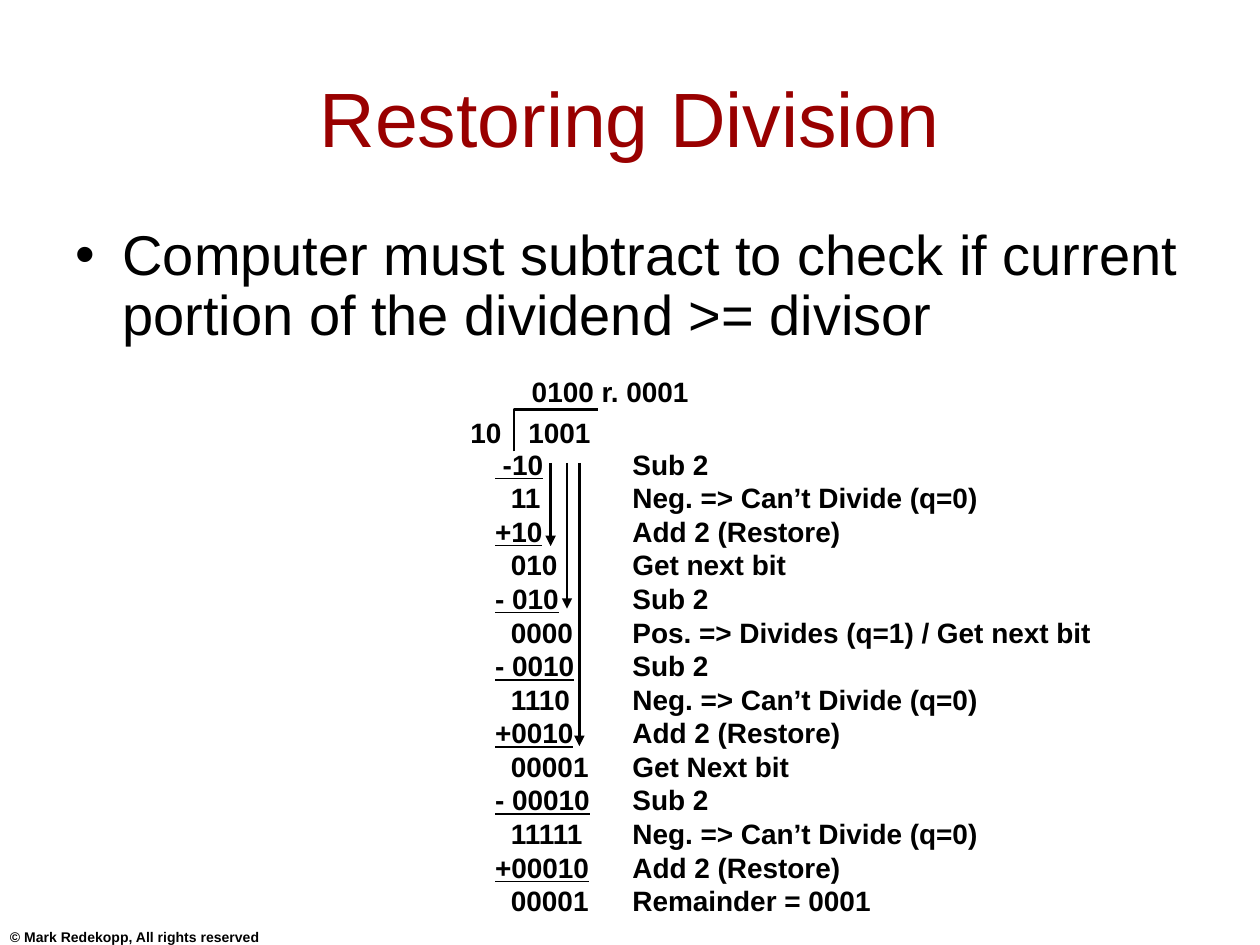
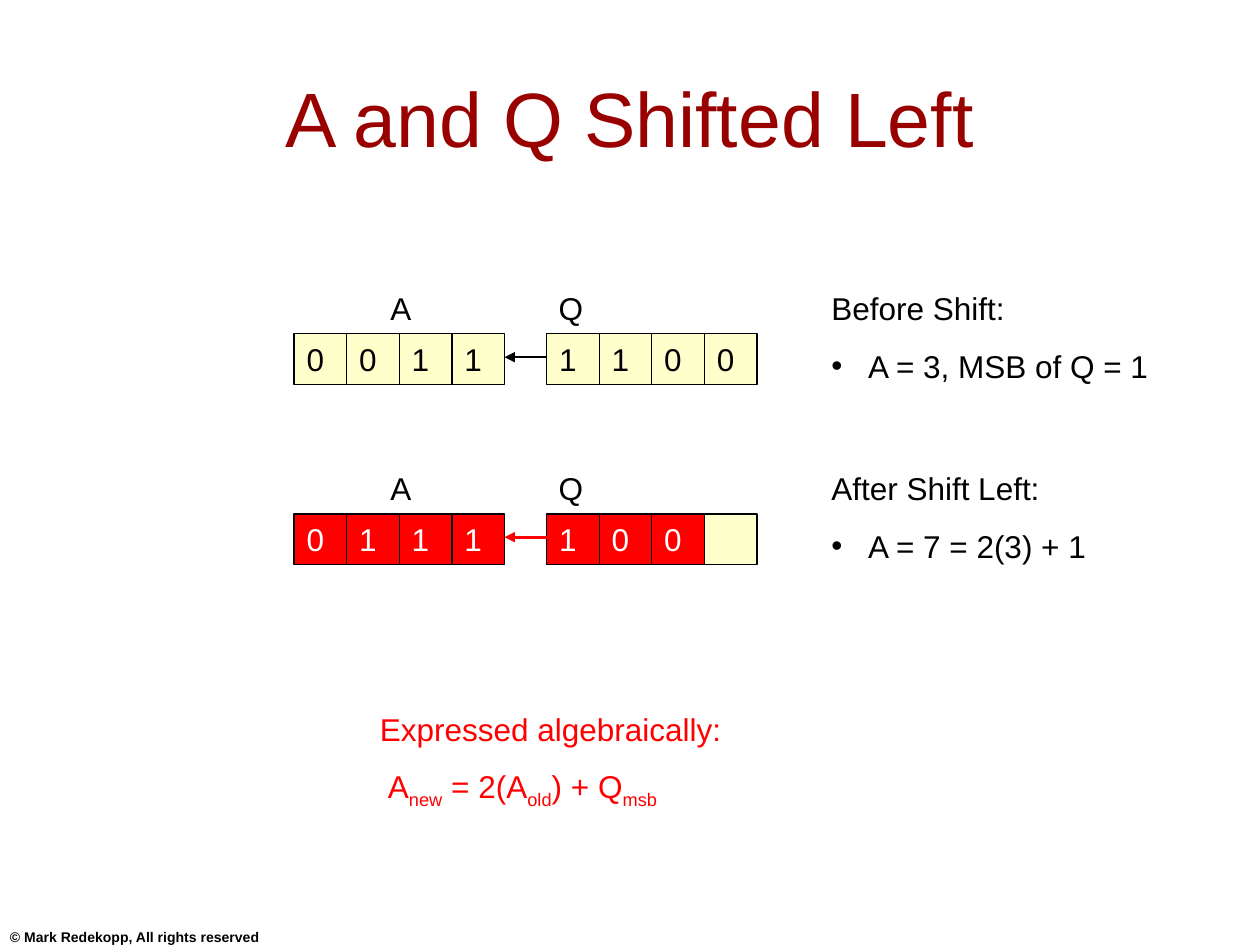
from lxml import etree
from pptx import Presentation
from pptx.dml.color import RGBColor
from pptx.enum.shapes import MSO_CONNECTOR, MSO_SHAPE
from pptx.enum.text import MSO_ANCHOR, PP_ALIGN
from pptx.oxml.ns import qn
from pptx.util import Cm, Pt

LINE = MSO_CONNECTOR.STRAIGHT
RECT = MSO_SHAPE.RECTANGLE
MIDDLE, BOTTOM = MSO_ANCHOR.MIDDLE, MSO_ANCHOR.BOTTOM
LEFT, CENTER, RIGHT = PP_ALIGN.LEFT, PP_ALIGN.CENTER, PP_ALIGN.RIGHT

BLACK = RGBColor(0, 0, 0)
WHITE = RGBColor(255, 255, 255)
MAROON = RGBColor(0x99, 0, 0)
RED = RGBColor(255, 0, 0)
CREAM = RGBColor(255, 255, 0xCC)

FONT = "Arial"
TITLE = {"size": Pt(44)}
BODY = {"size": Pt(32)}
MATH = {"size": Pt(16), "bold": True}
NOTE = {"size": Pt(18)}
FOOT = {"size": Pt(8), "bold": True}
SPACE = 0.16

STEPS = [
    (" -10", "Sub 2"),
    ("11", "Neg. => Can’t Divide (q=0)"),
    ("+10", "Add 2 (Restore)"),
    ("010", "Get next bit"),
    ("- 010", "Sub 2"),
    ("0000", "Pos. => Divides (q=1) / Get next bit"),
    ("- 0010", "Sub 2"),
    ("1110", "Neg. => Can’t Divide (q=0)"),
    ("+0010", "Add 2 (Restore)"),
    ("00001", "Get Next bit"),
    ("- 00010", "Sub 2"),
    ("11111", "Neg. => Can’t Divide (q=0)"),
    ("+00010", "Add 2 (Restore)"),
    ("00001", "Remainder = 0001"),
]


def add_run(para, text, style, color=BLACK):
    run = para.add_run()
    run.text = text
    for name, value in {"name": FONT, **style}.items():
        setattr(run.font, name, value)
    run.font.color.rgb = color
    return run


def indent(para, left, bullet=False):
    props = para._p.get_or_add_pPr()
    props.set("marL", str(Cm(left)))
    if bullet:
        props.set("indent", str(-Cm(left)))
        etree.SubElement(props, qn("a:buFont")).set("typeface", FONT)
        etree.SubElement(props, qn("a:buChar")).set("char", "•")


def add_frame(slide, box):
    frame = slide.shapes.add_textbox(*map(Cm, box)).text_frame
    frame.word_wrap = True
    return frame


def add_text(slide, box, text, style, color=BLACK, align=LEFT, left=0):
    frame = add_frame(slide, box)
    para = frame.paragraphs[0]
    para.alignment = align
    indent(para, left)
    add_run(para, text, style, color)
    return frame


def next_para(frame, before=11.2):
    para = frame.add_paragraph()
    para.space_before = Pt(before)
    return para


def add_arrow(slide, start, end, color=BLACK):
    arrow = slide.shapes.add_connector(LINE, *map(Cm, (*start, *end)))
    arrow.line.color.rgb = color
    arrow.line.width = Pt(1.5)
    etree.SubElement(arrow.line._get_or_add_ln(), qn("a:tailEnd")).set("type", "triangle")
    etree.SubElement(arrow._element.spPr, qn("a:effectLst"))


def add_base(deck, title):
    slide = deck.slides.add_slide(deck.slide_layouts[6])
    foot = add_text(slide, (0.2, 18.59, 12.5, 0.46),
                    "© Mark Redekopp, All rights reserved", FOOT)
    foot.margin_left = foot.margin_bottom = 0
    foot.vertical_anchor = BOTTOM
    head = add_text(slide, (1.27, 0.76, 22.86, 3.18), title, TITLE, MAROON, CENTER)
    head.vertical_anchor = MIDDLE
    return slide


def add_point(slide, box, text):
    para = add_text(slide, box, text, BODY).paragraphs[0]
    para.line_spacing = 0.9
    indent(para, 0.95, bullet=True)


def add_sums(slide, box):
    frame = add_frame(slide, box)
    for row, (value, _) in enumerate(STEPS):
        para = frame.add_paragraph() if row else frame.paragraphs[0]
        under = row % 2 == 0
        indent(para, 0 if under else 2 * SPACE)
        add_run(para, value, {**MATH, "underline": under})


def add_steps(slide, box):
    frame = add_frame(slide, box)
    for row, (_, note) in enumerate(STEPS):
        para = frame.add_paragraph() if row else frame.paragraphs[0]
        add_run(para, note, MATH)


def add_sign(slide, x, y, wide, high):
    pen = slide.shapes.build_freeform(Cm(x), Cm(y + high))
    pen.add_line_segments([(Cm(x), Cm(y)), (Cm(x + wide), Cm(y))], close=False)
    sign = pen.convert_to_shape()
    sign.shadow.inherit = False
    sign.fill.background()
    sign.line.color.rgb = BLACK
    sign.line.width = Pt(1.5)


def add_work(slide, box):
    x, y, wide, high = box
    add_text(slide, (x + 1.42, y, 4.24, 0.94), "0100 r. 0001", MATH, left=SPACE)
    add_text(slide, (x, y + 0.84, 1.47, 0.94), "10", MATH, align=RIGHT)
    add_text(slide, (x + 1.35, y + 0.84, 3.81, 0.94), "1001", MATH, left=SPACE)
    add_sign(slide, x + 1.47, y + 0.84, 1.7, 0.84)
    add_sums(slide, (x + 0.84, y + 1.47, 3.81, high - 1.47))
    add_steps(slide, (x + 3.61, y + 1.47, wide - 3.61, high - 1.47))
    for shift, drop in ((2.21, 1.68), (2.54, 2.94), (2.79, 5.71)):
        top = y + 1.91
        add_arrow(slide, (x + shift, top), (x + shift, top + drop))


def add_cell(slide, box, bit, fill, color):
    cell = slide.shapes.add_shape(RECT, *map(Cm, box))
    cell.shadow.inherit = False
    cell.fill.solid()
    cell.fill.fore_color.rgb = fill
    cell.line.color.rgb = BLACK
    cell.line.width = Pt(0.75)
    if bit:
        cell.text_frame.vertical_anchor = MSO_ANCHOR.TOP
        para = cell.text_frame.paragraphs[0]
        para.alignment = LEFT
        add_run(para, bit, NOTE, color)


def add_state(slide, box, bits, look, head, fact):
    x, y, wide, high = box
    fill, color, stroke = look
    pitch, gap, top = 1.06, 0.85, y + 1.02
    for name, shift in (("A", 1.69), ("Q", 5.08)):
        add_text(slide, (x + shift, y, 2.3, 1.02), name, NOTE)
    for reg, word in enumerate(bits):
        start = x + reg * (4 * pitch + gap)
        for col in range(4):
            bit = word[col:col + 1]
            add_cell(slide, (start + col * pitch, top, pitch, 1.02),
                     bit, fill if bit else CREAM, color)
    end = x + 4 * pitch
    add_arrow(slide, (end + gap, top + 0.47), (end, top + 0.47), stroke)
    frame = add_text(slide, (x + 10.58, y, wide - 10.58, high), head, NOTE)
    para = next_para(frame)
    indent(para, 0.74, bullet=True)
    add_run(para, fact, NOTE)


def add_rule(slide, box):
    frame = add_text(slide, box, "Expressed algebraically:", NOTE, RED)
    para = next_para(frame)
    indent(para, SPACE)
    for text, sub in (("A", "new"), (" = 2(A", "old"), (") + Q", "msb")):
        add_run(para, text, NOTE, RED)
        low = add_run(para, sub, NOTE, RED)
        low._r.get_or_add_rPr().set("baseline", "-25000")


def main():
    deck = Presentation()
    deck.slide_width, deck.slide_height = Cm(25.4), Cm(19.05)

    slide = add_base(deck, "Restoring Division")
    add_point(slide, (1.27, 4.45, 22.86, 2.74),
              "Computer must subtract to check if current portion of the dividend >= divisor")
    add_work(slide, (8.89, 7.42, 13.77, 11.2))

    slide = add_base(deck, "A and Q Shifted Left")
    add_state(slide, (5.93, 5.71, 17.78, 2.18), ("0011", "1100"),
              (CREAM, BLACK, BLACK), "Before Shift:", "A = 3, MSB of Q = 1")
    add_state(slide, (5.93, 9.34, 17.78, 2.18), ("0111", "100"),
              (RED, WHITE, RED), "After Shift Left:", "A = 7 = 2(3) + 1")
    add_rule(slide, (7.41, 14.18, 11.22, 2.29))

    deck.save("out.pptx")


if __name__ == "__main__":
    main()
